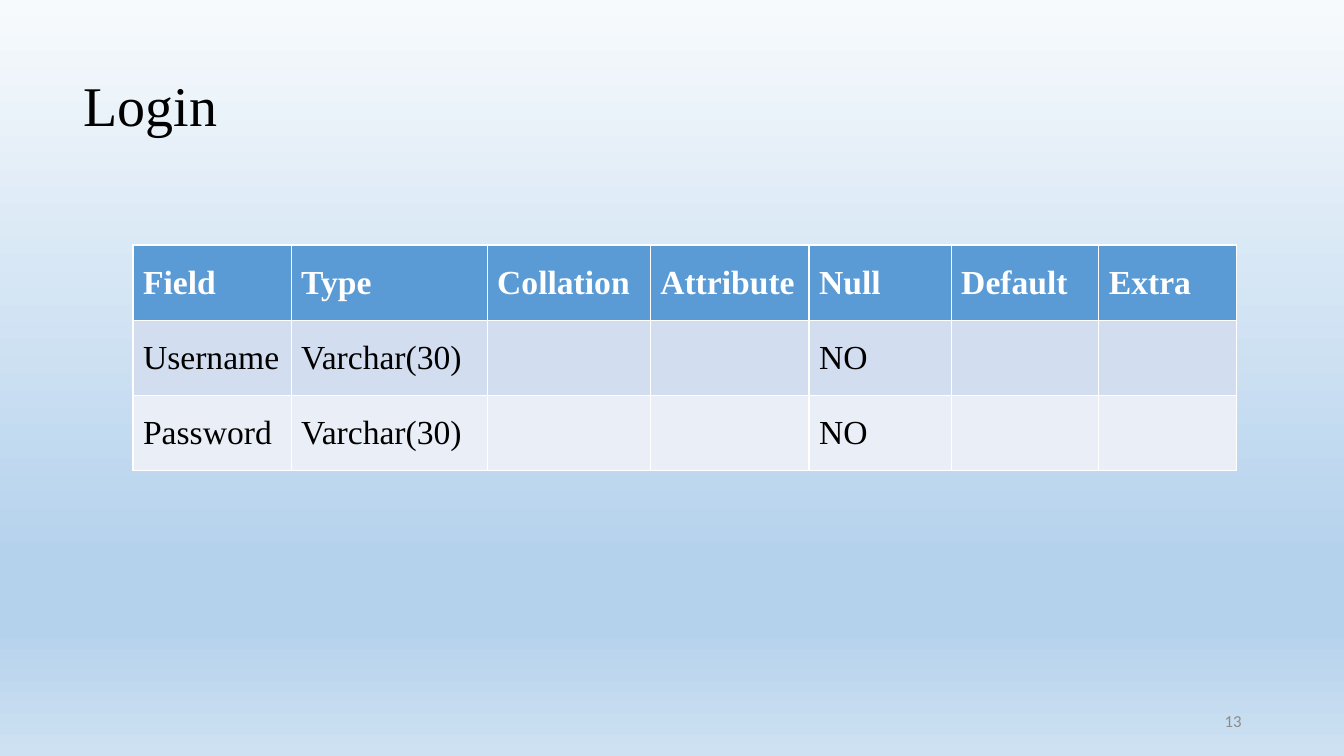
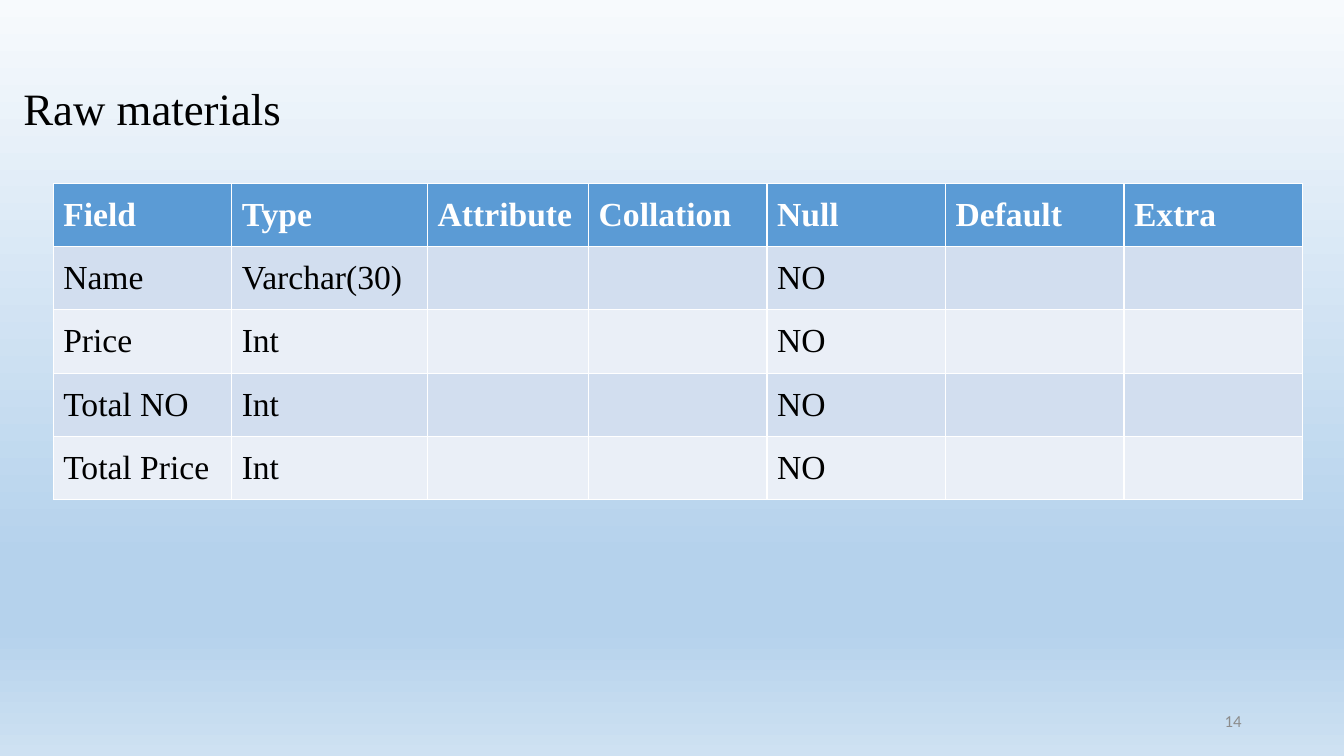
from lxml import etree
from pptx import Presentation
from pptx.dml.color import RGBColor
from pptx.enum import text
from pptx.oxml.ns import qn
from pptx.util import Pt

COLORS = {"header": "5B9BD5", "odd": "D2DEEF", "even": "EAEFF7",
          "white": "FFFFFF", "black": "000000", "grey": "8C8C8C"}
BACKGROUND = [(0, "F7FAFD"), (74, "B5D2EC"), (83, "B5D2EC"), (100, "CEE1F2")]
SERIF = "Times New Roman"

SLIDES = [
    {"number": 13, "title": "Login", "size": 40,
     "title_box": (52.5, 47, 322.5, 55.5), "table_at": (95, 175),
     "widths": [113, 140, 116.5, 113.5, 101.5, 105.5, 98.5], "row_height": 53.8,
     "header": ["Field", "Type", "Collation", "Attribute", "Null", "Default", "Extra"],
     "fields": [("Username", "Varchar(30)"), ("Password", "Varchar(30)")]},
    {"number": 14, "title": "Raw materials", "size": 32,
     "title_box": (9.5, 54, 273.5, 46), "table_at": (38, 131),
     "widths": [127.5, 140, 115] + [127.5] * 4, "row_height": 45.2,
     "header": ["Field", "Type", "Attribute", "Collation", "Null", "Default", "Extra"],
     "fields": [("Name", "Varchar(30)"), ("Price", "Int"),
                ("Total NO", "Int"), ("Total Price", "Int")]},
]


def write(tf, words, size=24, font=SERIF, color="black", bold=False,
          align=text.PP_ALIGN.LEFT, anchor=text.MSO_ANCHOR.MIDDLE):
    tf.word_wrap = True
    tf.vertical_anchor = anchor
    p = tf.paragraphs[0]
    p.alignment = align
    r = p.add_run()
    r.text = words
    r.font.size, r.font.name, r.font.bold = Pt(size), font, bold
    r.font.color.rgb = RGBColor.from_string(COLORS[color])


prs = Presentation()
prs.slide_width, prs.slide_height = Pt(960), Pt(540)

# Shared gradient background on the master
fill = prs.slide_master.background.fill
fill.gradient()
fill.gradient_angle = 270
stops = prs.slide_master.element.find(".//" + qn("a:gsLst"))
for stop in list(stops):
    stops.remove(stop)
for percent, color in BACKGROUND:
    stop = etree.SubElement(stops, qn("a:gs"), pos=str(percent * 1000))
    etree.SubElement(stop, qn("a:srgbClr"), val=color)

for data in SLIDES:
    s = prs.slides.add_slide(prs.slide_layouts[5])

    # Title
    title = s.shapes.title
    title.left, title.top, title.width, title.height = map(Pt, data["title_box"])
    title.text_frame.auto_size = text.MSO_AUTO_SIZE.NONE
    write(title.text_frame, data["title"], size=data["size"],
          anchor=text.MSO_ANCHOR.TOP)

    # Slide number
    sp = s.shapes.add_textbox(Pt(678), Pt(500.5), Pt(216), Pt(28.8))
    write(sp.text_frame, str(data["number"]), size=12, font="Calibri",
          color="grey", align=text.PP_ALIGN.RIGHT)

    # Field table
    rows = [data["header"]] + [[name, kind, "", "", "NO", "", ""]
                               for name, kind in data["fields"]]
    widths, height = data["widths"], data["row_height"]
    left, top = data["table_at"]
    table = s.shapes.add_table(len(rows), len(widths), Pt(left), Pt(top),
                               Pt(sum(widths)), Pt(height * len(rows))).table
    for column, width in zip(table.columns, widths):
        column.width = Pt(width)
    for i, row in enumerate(rows):
        table.rows[i].height = Pt(height)
        band = "header" if i == 0 else "odd" if i % 2 else "even"
        for j, words in enumerate(row):
            cell = table.cell(i, j)
            cell.fill.solid()
            cell.fill.fore_color.rgb = RGBColor.from_string(COLORS[band])
            cell.vertical_anchor = text.MSO_ANCHOR.MIDDLE
            if words:
                write(cell.text_frame, words, bold=i == 0,
                      color="black" if i else "white")

prs.save("out.pptx")
